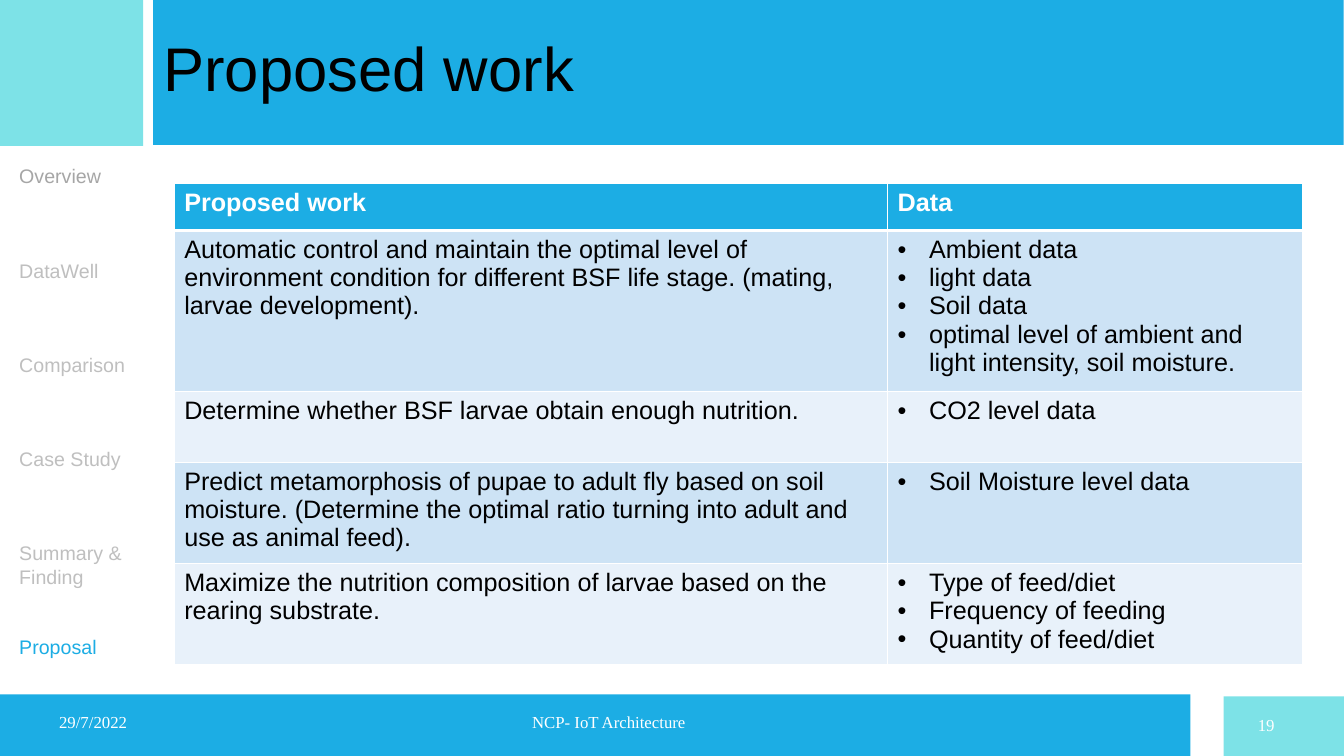
from lxml.etree import SubElement
from pptx import Presentation
from pptx.dml.color import RGBColor
from pptx.enum.shapes import MSO_SHAPE
from pptx.enum.text import MSO_ANCHOR, MSO_AUTO_SIZE, PP_ALIGN
from pptx.oxml.ns import qn
from pptx.util import Cm, Pt

BLUE = RGBColor(0x1C, 0xAD, 0xE4)
TEAL = RGBColor(0x7D, 0xE2, 0xE7)
WHITE = RGBColor(0xFF, 0xFF, 0xFF)
BLACK = RGBColor(0, 0, 0)
GREY = RGBColor(0xA6, 0xA6, 0xA6)
LIGHT_GREY = RGBColor(0xBF, 0xBF, 0xBF)
ROW_FILLS = [RGBColor(0xCD, 0xE3, 0xF5), RGBColor(0xE8, 0xF1, 0xFA)]

# Section name, colour, space above in points
SECTIONS = [
    ("Overview", GREY, 0),
    ("DataWell", LIGHT_GREY, 50.5),
    ("Comparison", LIGHT_GREY, 50.5),
    ("Case Study", LIGHT_GREY, 50.5),
    ("Summary & Finding", LIGHT_GREY, 50.5),
    ("Proposal", BLUE, 33.5),
]

HEADINGS = ["Proposed work", "Data"]
COLUMN_WIDTHS = [17.98, 10.46]
HEADING_HEIGHT = 1.19
# Row height, proposed work, data needed
PROPOSALS = [
    (4.04, "Automatic control and maintain the optimal level of environment "
     "condition for different BSF life stage. (mating, larvae development).",
     ["Ambient data", "light data", "Soil data",
      "optimal level of ambient and light intensity, soil moisture."]),
    (1.78, "Determine whether BSF larvae obtain enough nutrition.",
     ["CO2 level data"]),
    (2.55, "Predict metamorphosis of pupae to adult fly based on soil moisture. "
     "(Determine the optimal ratio turning into adult and use as animal feed).",
     ["Soil Moisture level data"]),
    (2.54, "Maximize the nutrition composition of larvae based on the rearing "
     "substrate.",
     ["Type of feed/diet", "Frequency of feeding", "Quantity of feed/diet"]),
]


def place(shape, left, top, width, height):
    shape.left, shape.top = Cm(left), Cm(top)
    shape.width, shape.height = Cm(width), Cm(height)


def style_text(para, size, color, font="Arial", bold=False):
    for span in para.runs:
        span.font.name = font
        span.font.size = Pt(size)
        span.font.bold = bold
        span.font.color.rgb = color


def set_bullet(para, symbol=None, indent=0):
    properties = para._p.get_or_add_pPr()
    properties.set("marL", str(Cm(indent)))
    properties.set("indent", str(-Cm(indent)))
    if symbol:
        SubElement(properties, qn("a:buFont"), typeface="Arial")
        SubElement(properties, qn("a:buChar"), char=symbol)
    else:
        SubElement(properties, qn("a:buNone"))


def add_block(page, color, left, top, width, height):
    block = page.shapes.add_shape(
        MSO_SHAPE.RECTANGLE, Cm(left), Cm(top), Cm(width), Cm(height))
    block.shadow.inherit = False
    block.fill.solid()
    block.fill.fore_color.rgb = color
    block.line.fill.background()


def add_footer_text(page, text, left, top, width):
    box = page.shapes.add_textbox(Cm(left), Cm(top), Cm(width), Cm(0.79))
    box.text_frame.word_wrap = True
    box.text_frame.text = text
    style_text(box.text_frame.paragraphs[0], 12, WHITE, "Times New Roman")


def fill_title(title):
    place(title, 3.86, -0.03, 30, 3.68)
    title.fill.solid()
    title.fill.fore_color.rgb = BLUE
    frame = title.text_frame
    frame.text = "Proposed work"
    frame.auto_size = MSO_AUTO_SIZE.NONE
    frame.vertical_anchor = MSO_ANCHOR.MIDDLE
    para = frame.paragraphs[0]
    para.alignment = PP_ALIGN.LEFT
    para.line_spacing = 0.9
    style_text(para, 44, BLACK)


def fill_sections(body):
    place(body, 0.23, 4.01, 3.84, 12.83)
    frame = body.text_frame
    frame.text = "\n".join(name for name, _, _ in SECTIONS)
    frame.auto_size = MSO_AUTO_SIZE.NONE
    frame.vertical_anchor = MSO_ANCHOR.TOP
    for para, (_, color, gap) in zip(frame.paragraphs, SECTIONS):
        para.space_before = Pt(gap)
        set_bullet(para)
        style_text(para, 14, color)


def set_borders(cell, top, bottom):
    properties = cell._tc.get_or_add_tcPr()
    for side, width in (("L", 1), ("R", 1), ("T", top), ("B", bottom)):
        line = SubElement(properties, qn("a:ln" + side), w=str(Pt(width)))
        fill = SubElement(line, qn("a:solidFill"))
        SubElement(fill, qn("a:srgbClr"), val=str(WHITE))


def fill_cell(cell, lines, row, bulleted):
    heading = row == 0
    set_borders(cell, 3 if row == 1 else 1, 3 if heading else 1)
    cell.fill.solid()
    cell.fill.fore_color.rgb = BLUE if heading else ROW_FILLS[(row - 1) % 2]
    cell.text_frame.text = "\n".join(lines)
    for para in cell.text_frame.paragraphs:
        if bulleted:
            set_bullet(para, "•", 0.79)
        style_text(para, 18, WHITE if heading else BLACK, bold=heading)


def add_proposal_table(page):
    heights = [HEADING_HEIGHT] + [height for height, _, _ in PROPOSALS]
    frame = page.shapes.add_table(
        len(heights), len(COLUMN_WIDTHS), Cm(4.39), Cm(4.62),
        Cm(sum(COLUMN_WIDTHS)), Cm(sum(heights)))
    table = frame.table
    for column, width in zip(table.columns, COLUMN_WIDTHS):
        column.width = Cm(width)
    for row, height in zip(table.rows, heights):
        row.height = Cm(height)
    for column, heading in enumerate(HEADINGS):
        fill_cell(table.cell(0, column), [heading], 0, False)
    for row, (_, work, data) in enumerate(PROPOSALS, start=1):
        fill_cell(table.cell(row, 0), [work], row, False)
        fill_cell(table.cell(row, 1), data, row, True)


def main():
    deck = Presentation()
    deck.slide_width, deck.slide_height = Cm(33.87), Cm(19.05)
    page = deck.slides.add_slide(deck.slide_layouts[1])

    # Title and section list
    fill_title(page.shapes.title)
    fill_sections(page.placeholders[1])

    # Colour blocks
    add_block(page, TEAL, 30.84, 17.55, 3.03, 1.5)
    add_block(page, BLUE, 0, 17.5, 30, 1.55)
    add_block(page, TEAL, 0, 0, 3.61, 3.68)

    # Footer
    add_footer_text(page, "29/7/2022", 1.24, 17.81, 7.62)
    add_footer_text(page, "NCP- IoT Architecture", 13.16, 17.81, 11.43)
    add_footer_text(page, "19", 31.45, 17.88, 1.8)

    # Proposals and their data
    add_proposal_table(page)
    deck.save("out.pptx")


if __name__ == "__main__":
    main()
